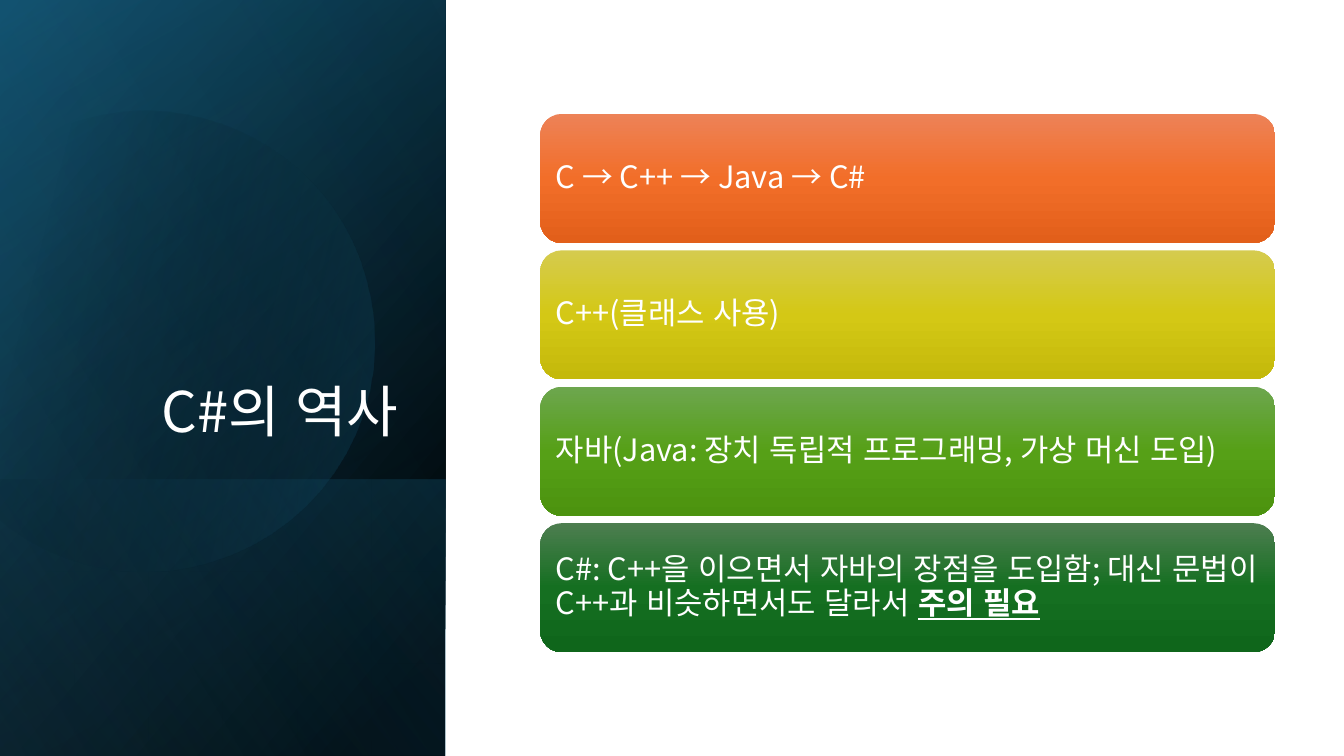
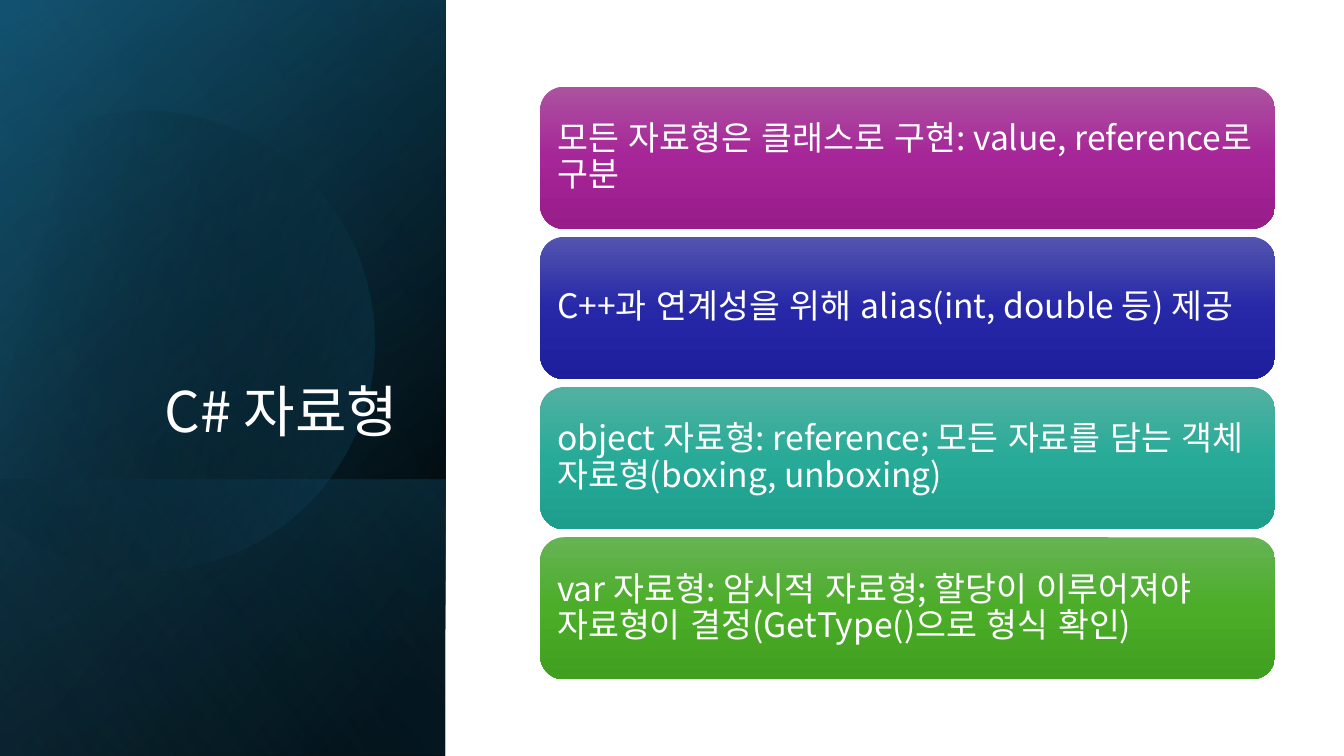
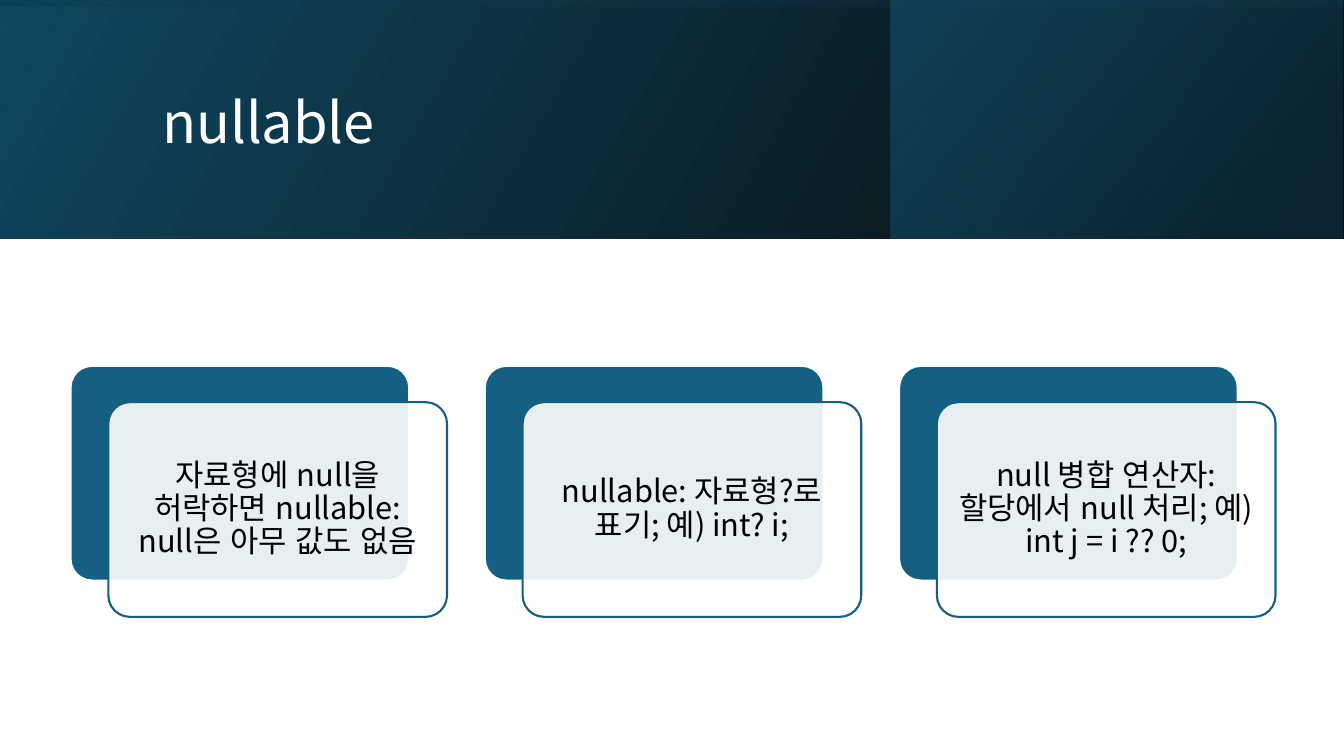
from math import cos, radians, sin

from lxml.etree import SubElement
from pptx import Presentation
from pptx.dml.color import RGBColor
from pptx.enum.lang import MSO_LANGUAGE_ID
from pptx.enum.shapes import MSO_SHAPE
from pptx.enum.text import MSO_ANCHOR, PP_ALIGN
from pptx.oxml import parse_xml
from pptx.oxml.ns import nsdecls, qn
from pptx.util import Pt

# Shared style
FONT = "Noto Sans CJK KR"
WHITE, BLACK, TEAL = "FFFFFF", "000000", "156082"
SLIDE_W, SLIDE_H = 960, 540
SIDE_W, HEADER_H = 318.24, 170.64
TITLE_SIZE = 40

# Bands: visible left, top, width, height, rotation, gradient angle,
# stops of (position, colour, opacity)
SIDE_BANDS = [
    (0, 0, SIDE_W, SLIDE_H, 90, 50, [(8, BLACK, 100), (100, "104862", 100)]),
    (0, 0, SIDE_W, SLIDE_H, 90, 30, [(0, BLACK, 0), (99, TEAL, 46)]),
    (0, 342.72, SIDE_W, 197.28, 90, 130, [(2, TEAL, 29), (100, BLACK, 30)]),
]
SIDE_GLOW = (0, 0, SIDE_W, SLIDE_H, 90, 120, [(0, BLACK, 0), (99, "46B1E1", 11)])
HEADER_BANDS = [
    (0, 0, SLIDE_W, HEADER_H, 0, 330, [(0, BLACK, 96), (100, "104862", 100)]),
    (636.48, 0, 322.56, HEADER_H, 0, 320, [(19, "0B3041", 68), (100, TEAL, 48)]),
    (0, 0, SLIDE_W, HEADER_H, 270, 350, [(23, "104862", 16), (99, BLACK, 45)]),
]

# Sidebar circle, cut at the left: curves of three points, lines of one
CIRCLE_START = (107, 79)
CIRCLE_PATH = [
    [(177, 81), (241, 127), (261, 198)],
    [(287, 286), (236, 377), (149, 402)],
    [(94, 418), (38, 404), (-2, 370)],
    [(-11, 362)],
    [(-11, 126)],
    [(0, 116)],
    [(16.5, 102), (36, 92), (57.5, 86)],
    [(74, 81), (91, 79), (107, 79)],
]
CIRCLE_CENTRE, CIRCLE_TURN = (114.12, 240.84), 343.9
CIRCLE_STOPS = [(29, BLACK, 0), (100, TEAL, 43)]

# Card slides: title, text size, card height, cards of (three shades, text, emphasis)
CARD_SLIDES = [
    ("C#의 역사", 22, 92.16, [
        (("ED8257", "F26E29", "E25F1A"), "C → C++ → Java → C#", ""),
        (("D5CB4E", "D4C815", "C4B90B"), "C++(클래스 사용)", ""),
        (("6DA64E", "56A017", "4C930F"),
         "자바(Java: 장치 독립적 프로그래밍, 가상 머신 도입)", ""),
        (("4D7E50", "156F21", "0F661B"),
         "C#: C++을 이으면서 자바의 장점을 도입함; 대신 문법이 C++과 비슷하면서도 달라서 ",
         "주의 필요"),
    ]),
    ("C# 자료형", 24, 101.52, [
        (("AC53A0", "A62598", "991C8B"),
         "모든 자료형은 클래스로 구현: value, reference로 구분", ""),
        (("5354AE", "2628A8", "1D1E9B"),
         "C++과 연계성을 위해 alias(int, double 등) 제공", ""),
        (("53B0A1", "27AB98", "1D9D8B"),
         "object 자료형: reference; 모든 자료를 담는 객체 자료형(boxing, unboxing)", ""),
        (("66B354", "4BAD28", "409F1E"),
         "var 자료형: 암시적 자료형; 할당이 이루어져야 자료형이 결정(GetType()으로 형식 확인)", ""),
    ]),
]
CARD_LEFT, CARD_W, STACK_MIDDLE = 385.92, 524.88, 273.6

# Panel slide
PANEL_TITLE = "nullable"
PANEL_TEXTS = [
    "자료형에 null을 허락하면 nullable: null은 아무 값도 없음",
    "nullable: 자료형?로 표기; 예) int? i;",
    "null 병합 연산자: 할당에서 null 처리; 예) int j = i ?? 0;",
]
PANEL_LEFT, PANEL_TOP, PANEL_W, PANEL_H = 50.4, 261.36, 241.92, 153.36
PANEL_STEP, PANEL_SHIFT = 295.92, (27, 25.92)
PANEL_SIZE = 22


def rgb(colour):
    return RGBColor.from_string(colour)


def fill_gradient(shape, angle, stops):
    marks = "".join(
        f'<a:gs pos="{pos * 1000}"><a:srgbClr val="{colour}">'
        f'<a:alpha val="{opacity * 1000}"/></a:srgbClr></a:gs>'
        for pos, colour, opacity in stops)
    gradient = parse_xml(
        f'<a:gradFill {nsdecls("a")} rotWithShape="1"><a:gsLst>{marks}</a:gsLst>'
        f'<a:lin ang="{angle * 60000}" scaled="0"/></a:gradFill>')
    shape.fill.background()
    properties = shape._element.spPr
    properties.replace(properties.find(qn("a:noFill")), gradient)


def add_shape(slide, kind, left, top, width, height):
    shape = slide.shapes.add_shape(kind, Pt(left), Pt(top), Pt(width), Pt(height))
    shape.shadow.inherit = False
    shape.line.fill.background()
    return shape


def write(shape, parts, size, colour, align, anchor, inset=None):
    """Write one paragraph; the second part, if any, is emphasised."""
    frame = shape.text_frame
    frame.word_wrap = True
    frame.vertical_anchor = anchor
    if inset is not None:
        frame.margin_left = frame.margin_right = Pt(inset)
        frame.margin_top = frame.margin_bottom = Pt(inset)
    paragraph = frame.paragraphs[0]
    paragraph.alignment = align
    paragraph.line_spacing = 0.9
    for index, part in enumerate(filter(None, parts)):
        run = paragraph.add_run()
        run.text = part
        font = run.font
        font.size, font.name = Pt(size), FONT
        font.color.rgb = rgb(colour)
        font.language_id = MSO_LANGUAGE_ID.KOREAN
        if index:
            font.bold = font.underline = True
        SubElement(run._r.get_or_add_rPr(), qn("a:ea")).set("typeface", FONT)


def add_title(slide, text, left, top, width, height, align, anchor):
    title = slide.shapes.add_textbox(Pt(left), Pt(top), Pt(width), Pt(height))
    write(title, [text], TITLE_SIZE, WHITE, align, anchor)


def add_band(slide, left, top, width, height, turn, angle, stops):
    # A quarter turn swaps the sides about the same centre
    w, h = (height, width) if turn else (width, height)
    band = add_shape(slide, MSO_SHAPE.RECTANGLE,
                     left + (width - w) / 2, top + (height - h) / 2, w, h)
    band.rotation = turn
    band._element.spPr.xfrm.set("flipH", "1")
    fill_gradient(band, angle, stops)


def bezier(points, steps=16):
    for step in range(1, steps + 1):
        t = step / steps
        weights = ((1 - t) ** 3, 3 * t * (1 - t) ** 2, 3 * t * t * (1 - t), t ** 3)
        yield tuple(sum(w * p[axis] for w, p in zip(weights, points)) for axis in (0, 1))


def add_circle(slide):
    outline = [CIRCLE_START]
    for segment in CIRCLE_PATH:
        outline += bezier([outline[-1], *segment]) if len(segment) == 3 else segment
    # Turn the outline back, so that the shape's rotation restores it
    c, s = cos(radians(-CIRCLE_TURN)), sin(radians(-CIRCLE_TURN))
    cx, cy = CIRCLE_CENTRE
    turned = [(Pt(cx + (x - cx) * c - (y - cy) * s), Pt(cy + (x - cx) * s + (y - cy) * c))
              for x, y in outline]
    builder = slide.shapes.build_freeform(*turned[0], scale=1.0)
    builder.add_line_segments(turned[1:], close=True)
    circle = builder.convert_to_shape()
    circle.shadow.inherit = False
    circle.line.fill.background()
    circle.rotation = CIRCLE_TURN
    fill_gradient(circle, 30, CIRCLE_STOPS)


def build_card_slide(slide, title, size, height, cards):
    for band in SIDE_BANDS:
        add_band(slide, *band)
    add_circle(slide)
    add_band(slide, *SIDE_GLOW)
    add_title(slide, title, 46.08, 132.48, 245.52, 188.64, PP_ALIGN.RIGHT, MSO_ANCHOR.BOTTOM)

    # Cards, centred as a stack; gap and inset follow the text size
    step = height + 0.24 * size
    top = STACK_MIDDLE - (step * (len(cards) - 1) + height) / 2
    for row, (shades, *parts) in enumerate(cards):
        card = add_shape(slide, MSO_SHAPE.ROUNDED_RECTANGLE,
                         CARD_LEFT, top + row * step, CARD_W, height)
        fill_gradient(card, 90, [(pos, shade, 100) for pos, shade in zip((0, 50, 100), shades)])
        write(card, parts, size, WHITE, PP_ALIGN.LEFT, MSO_ANCHOR.MIDDLE, 0.3 * size)


def add_panel(slide, left, top, fill, line):
    panel = add_shape(slide, MSO_SHAPE.ROUNDED_RECTANGLE, left, top, PANEL_W, PANEL_H)
    panel.adjustments[0] = 0.1
    panel.fill.solid()
    panel.fill.fore_color.rgb = rgb(fill)
    panel.line.color.rgb = rgb(line)
    panel.line.width = Pt(1.5)
    return panel


def build_panel_slide(slide):
    for band in HEADER_BANDS:
        add_band(slide, *band)
    add_title(slide, PANEL_TITLE, 108.72, 27.36, 765.36, 123.84,
              PP_ALIGN.LEFT, MSO_ANCHOR.MIDDLE)

    # Pairs of a solid back and a translucent front
    dx, dy = PANEL_SHIFT
    for column, text in enumerate(PANEL_TEXTS):
        left = PANEL_LEFT + column * PANEL_STEP
        add_panel(slide, left, PANEL_TOP, TEAL, WHITE)
        front = add_panel(slide, left + dx, PANEL_TOP + dy, WHITE, TEAL)
        colour = front._element.spPr.find(qn("a:solidFill"))[0]
        SubElement(colour, qn("a:alpha")).set("val", "90000")
        write(front, [text], PANEL_SIZE, BLACK, PP_ALIGN.CENTER, MSO_ANCHOR.MIDDLE,
              0.3 * PANEL_SIZE)


def main():
    deck = Presentation()
    deck.slide_width, deck.slide_height = Pt(SLIDE_W), Pt(SLIDE_H)
    blank = deck.slide_layouts[6]
    for content in CARD_SLIDES:
        build_card_slide(deck.slides.add_slide(blank), *content)
    build_panel_slide(deck.slides.add_slide(blank))
    deck.save("out.pptx")


if __name__ == "__main__":
    main()
